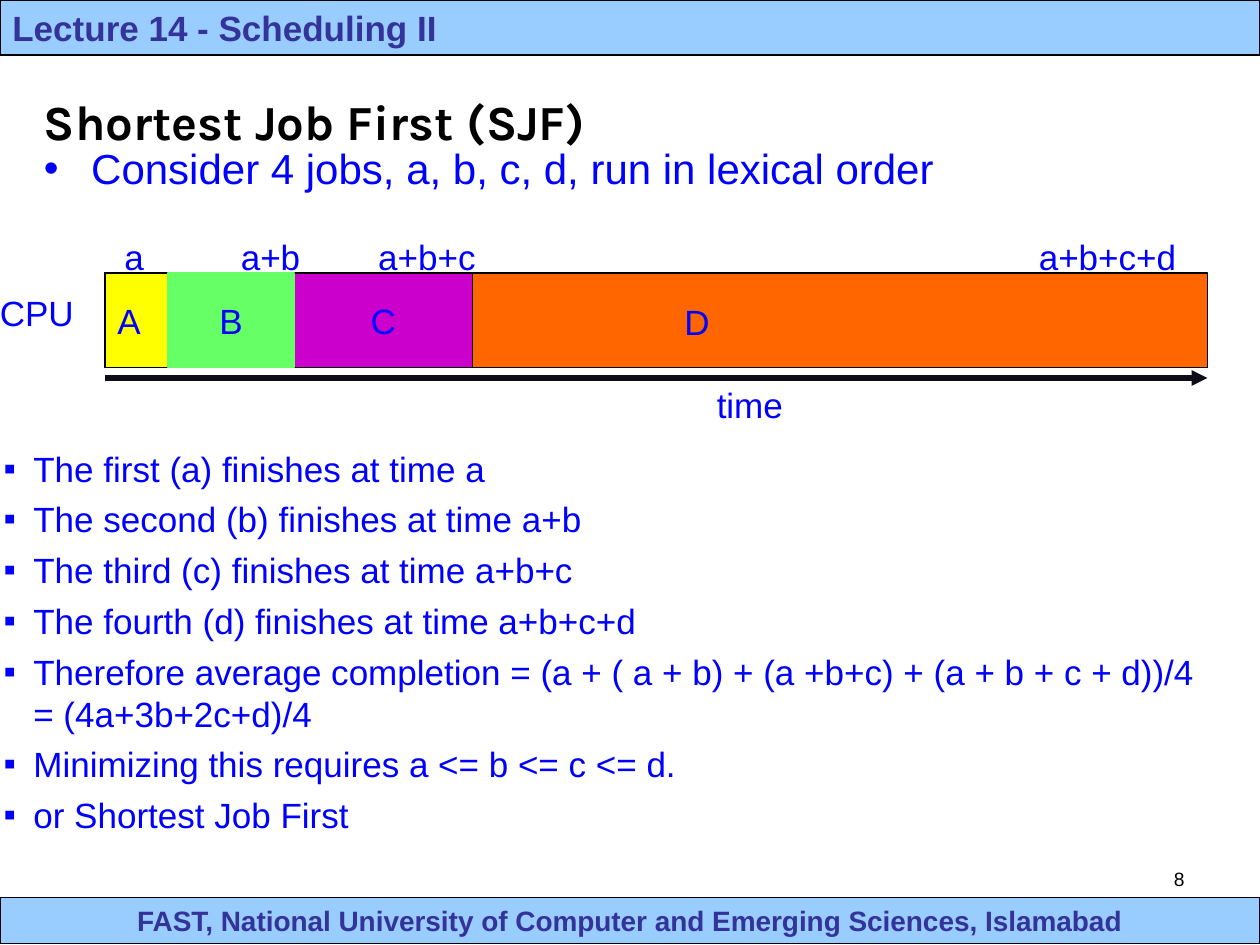
"""Build the Shortest Job First slide."""
from lxml.etree import SubElement
from pptx import Presentation
from pptx.dml.color import RGBColor
from pptx.enum.shapes import MSO_CONNECTOR, MSO_SHAPE
from pptx.enum.text import MSO_ANCHOR, PP_ALIGN
from pptx.oxml.ns import qn
from pptx.util import Pt

BLUE, NAVY, BLACK, SKY = "0000FF", "333399", "000000", "99CCFF"
LEFT, MID, RIGHT = PP_ALIGN.LEFT, PP_ALIGN.CENTER, PP_ALIGN.RIGHT

BARS = [
    ("Lecture 14 - Scheduling II", 0, 31.5, 20, LEFT),
    ("FAST, National University of Computer and Emerging Sciences, Islamabad",
     512.75, 26.5, 16, MID),
]
JOBS = [
    ("", 60, 630, "FF6600", BLACK, LEFT),
    ("A", 60, 108, "FFFF00", BLACK, LEFT),
    ("C", 168, 102, "CC00CC", BLACK, MID),
    ("B", 96, 72, "66FF66", "66FF66", MID),
]
LABELS = [
    ("CPU", -7.2, 163, 60),
    ("time", 402.5, 215.5, 60),
    ("D", 384, 168, 87),
]
TIMES = ["a", "a+b", "a+b+c", "a+b+c+d"]
STOPS = [66.5, 145, 522.5]
POINTS = [
    "The first (a) finishes at time a",
    "The second (b) finishes at time a+b",
    "The third (c) finishes at time a+b+c",
    "The fourth (d) finishes at time a+b+c+d",
    "Therefore average completion = (a + ( a + b) + (a +b+c) + (a + b + c + d))/4 = (4a+3b+2c+d)/4",
    "Minimizing this requires a <= b <= c <= d.",
    "or Shortest Job First",
]


def rgb(code):
    """Turn a hex string into a colour."""
    return RGBColor.from_string(code)


def add(parent, tag, **attrs):
    """Append a drawing element with attributes."""
    return SubElement(parent, qn("a:" + tag), attrs)


def bullet(para, char, margin, indent):
    """Give a paragraph a blue bullet and a hanging indent."""
    props = para._p.get_or_add_pPr()
    props.set("marL", str(Pt(margin)))
    props.set("indent", str(Pt(-indent)))
    add(add(props, "buClr"), "srgbClr", val=BLUE)
    add(props, "buFont", typeface="Arial")
    add(props, "buChar", char=char)


def tabs(para, stops):
    """Set left tab stops on a paragraph."""
    group = add(para._p.get_or_add_pPr(), "tabLst")
    for stop in stops:
        add(group, "tab", pos=str(Pt(stop)), algn="l")


def style(para, size, color=BLUE, bold=False, face="Arial", align=LEFT):
    """Set the font and alignment of a paragraph."""
    para.alignment = align
    font = para.font
    font.size, font.bold, font.name = Pt(size), bold, face
    font.color.rgb = rgb(color)


def label(slide, text, x, y, w, h, anchor=MSO_ANCHOR.TOP):
    """Add a text box and return its frame."""
    frame = slide.shapes.add_textbox(Pt(x), Pt(y), Pt(w), Pt(h)).text_frame
    frame.word_wrap, frame.vertical_anchor = True, anchor
    frame.text = text
    return frame


def block(slide, text, x, y, w, h, fill, edge, width, anchor):
    """Add a filled rectangle and return its first paragraph."""
    shape = slide.shapes.add_shape(MSO_SHAPE.RECTANGLE, Pt(x), Pt(y), Pt(w), Pt(h))
    shape.shadow.inherit = False
    shape.fill.solid()
    shape.fill.fore_color.rgb = rgb(fill)
    shape.line.color.rgb = rgb(edge)
    shape.line.width = Pt(width)
    shape.text_frame.vertical_anchor = anchor
    shape.text_frame.text = text
    return shape.text_frame.paragraphs[0]


def arrow(slide, x, y, end):
    """Draw the time axis."""
    line = slide.shapes.add_connector(MSO_CONNECTOR.STRAIGHT, Pt(x), Pt(y), Pt(end), Pt(y))
    line.line.color.rgb = rgb("0F0C19")
    line.line.width = Pt(3)
    add(line.line._get_or_add_ln(), "tailEnd", type="triangle")
    add(line._element.spPr, "effectLst")


def main():
    """Build and save the slide."""
    deck = Presentation()
    deck.slide_width, deck.slide_height = Pt(720), Pt(540)
    slide = deck.slides.add_slide(deck.slide_layouts[6])

    for text, y, h, size, align in BARS:
        para = block(slide, text, 0, y, 720, h, SKY, BLACK, 0.75, MSO_ANCHOR.TOP)
        style(para, size, NAVY, True, align=align)

    frame = label(slide, "8", 516, 492, 168, 37.5)
    style(frame.paragraphs[0], 11, BLACK, align=RIGHT)
    frame = label(slide, "Shortest Job First (SJF)", 18, 42, 648, 54, MSO_ANCHOR.MIDDLE)
    style(frame.paragraphs[0], 28, BLACK, True, "Karla")
    frame = label(slide, "Consider 4 jobs, a, b, c, d, run in lexical order", 18, 78, 702, 408)
    bullet(frame.paragraphs[0], "•", 27, 27)
    style(frame.paragraphs[0], 24)

    for text, x, w, fill, edge, align in JOBS:
        para = block(slide, text, x, 156, w, 54, fill, edge, 1, MSO_ANCHOR.MIDDLE)
        style(para, 20, align=align)
    arrow(slide, 60, 216, 690)
    for text, x, y, w in LABELS:
        style(label(slide, text, x, y, w, 31.5).paragraphs[0], 20)

    frame = label(slide, "\t".join(TIMES), 64, 131, 650, 31.5, MSO_ANCHOR.MIDDLE)
    tabs(frame.paragraphs[0], STOPS)
    style(frame.paragraphs[0], 20)

    frame = label(slide, "\n".join(POINTS), -24, 252, 720, 229.5)
    for row, para in enumerate(frame.paragraphs):
        bullet(para, "▪", 36, 17)
        para.space_before = Pt(5 if row else 0)
        style(para, 20)

    deck.save("out.pptx")


if __name__ == "__main__":
    main()
